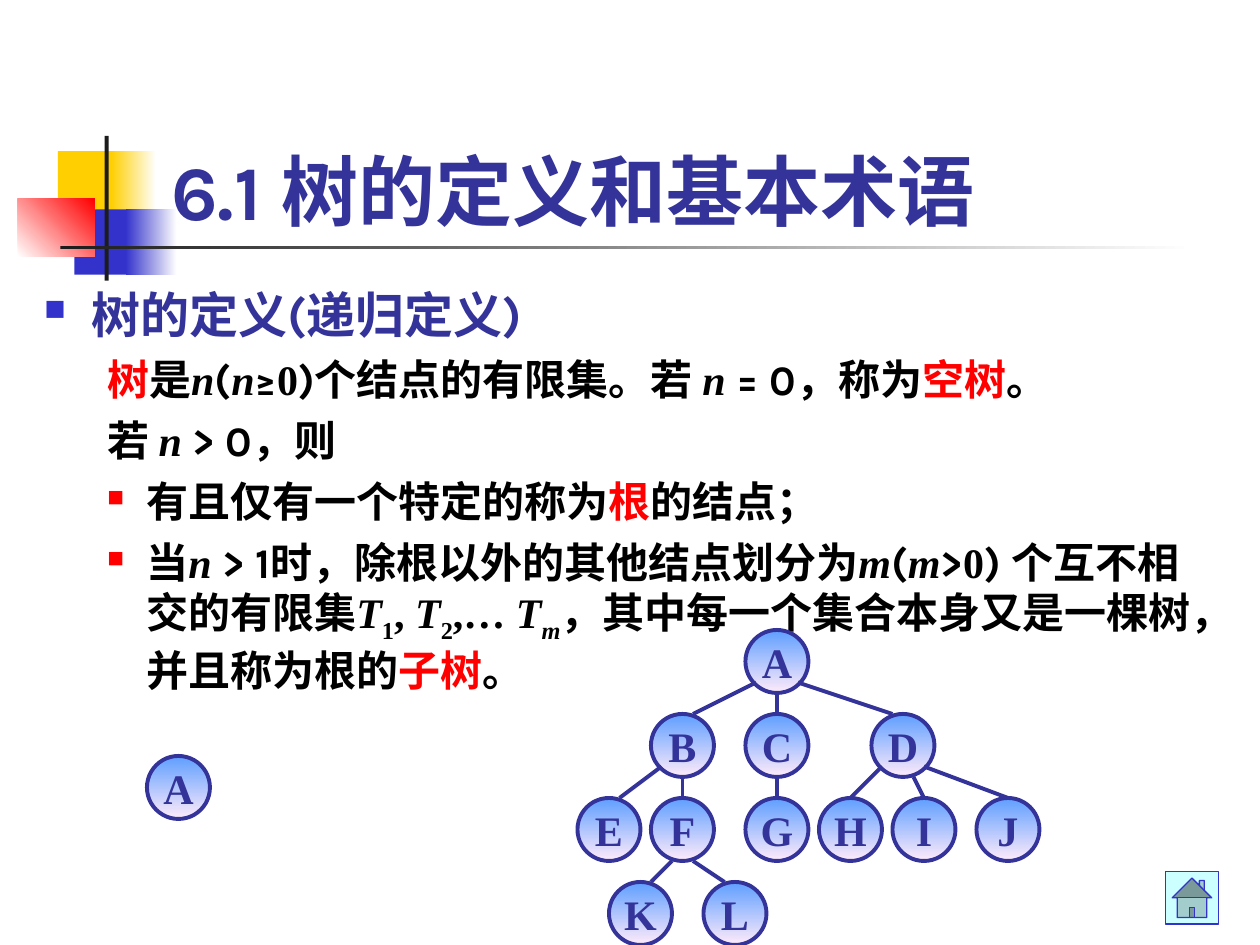
"""Build the slide that defines a tree recursively and shows two example trees."""
from dataclasses import dataclass
from typing import NamedTuple

from lxml import etree
from pptx import Presentation
from pptx import util as u
from pptx.dml.color import RGBColor
from pptx.enum import lang, shapes, text
from pptx.oxml import ns

KARLA, TIMES = "Karla", "Times New Roman"
INDIGO, BLUE, RED, BLACK, WHITE = "333399", "3333CC", "FF0000", "000000", "FFFFFF"
YELLOW, CHARCOAL = "FFCF01", "1C1C1C"
GRID = 2.54 / 12
NODE_SPAN, TREE_TOP, LEVEL_STEP = 6, 60, 8


class Band(NamedTuple):
    left: float
    top: float
    width: float
    height: float
    colors: tuple[str, ...]
    angle: float = 0


class Piece(NamedTuple):
    wording: str
    face: str = KARLA
    color: str = BLACK
    italic: bool = False
    lowered: bool = False


@dataclass
class Statement:
    pieces: list[Piece]
    size: float = 24
    margin: float = 2.06
    hanging: float = 0.79
    before: float = 6
    bullet: str = ""
    bullet_percent: int = 55


class Node(NamedTuple):
    label: str
    column: int
    level: int


class Branch(NamedTuple):
    parent: str
    start_x: int
    start_y: int
    child: str
    end_x: int


def var(name: str, lowered: bool = False) -> Piece:
    return Piece(name, TIMES, italic=True, lowered=lowered)


def digit(wording: str, lowered: bool = False) -> Piece:
    return Piece(wording, TIMES, lowered=lowered)


def term(wording: str) -> Piece:
    return Piece(wording, color=RED)


BANDS = [
    Band(1.17, 3.05, 1.22, 1.32, (YELLOW,)),
    Band(2.24, 3.05, 0.91, 1.32, (YELLOW, WHITE)),
    Band(1.5, 4.22, 1.17, 1.32, (BLUE,)),
    Band(2.54, 4.22, 1.02, 1.32, (BLUE, WHITE)),
    Band(0.36, 4.01, 1.55, 1.17, (WHITE, RED), 45),
    Band(2.11, 2.74, 0.08, 2.92, (CHARCOAL,)),
    Band(1.22, 4.95, 22.86, 0.08, (CHARCOAL, WHITE)),
]

TITLE = [Statement([Piece("6.1 树的定义和基本术语", color=INDIGO)], 44, 0, 0, 0)]

DEFINITION = [
    Statement([Piece("树的定义(递归定义)", color=INDIGO)], 28, 0.96, 0.96, 7, BLUE, 60),
    Statement([term("树"), Piece("是"), var("n"), Piece("("), var("n"), Piece("≥"), digit("0"),
               Piece(")个结点的有限集。若 "), var("n"), Piece(" = 0，称为"), term("空树"), Piece("。")]),
    Statement([Piece("若 "), var("n"), Piece(" > 0，则")]),
    Statement([Piece("有且仅有一个特定的称为"), term("根"), Piece("的结点；")], bullet=RED),
    Statement([Piece("当"), var("n"), Piece(" > 1时，除根以外的其他结点划分为"), var("m"), Piece("("),
               var("m"), Piece(">"), digit("0"), Piece(") 个互不相交的有限集"),
               var("T"), digit("1", True), digit(", "), var("T"), digit("2", True), digit(",… "),
               var("T"), var("m", True), digit("，其中每一个集合本身又是一棵树，并且称为根的"),
               term("子树"), Piece("。")], bullet=RED),
]

NODES = [
    Node("A", 71, 0),
    Node("B", 62, 1), Node("C", 71, 1), Node("D", 83, 1),
    Node("E", 55, 2), Node("F", 62, 2), Node("G", 71, 2),
    Node("H", 78, 2), Node("I", 85, 2), Node("J", 93, 2),
    Node("K", 58, 3), Node("L", 67, 3),
]

BRANCHES = [
    Branch("A", 1, 5, "B", 4), Branch("A", 3, 6, "C", 3), Branch("A", 5, 5, "D", 2),
    Branch("B", 1, 5, "E", 4), Branch("B", 3, 6, "F", 3), Branch("C", 3, 6, "G", 3),
    Branch("D", 1, 5, "H", 3), Branch("D", 4, 6, "I", 3), Branch("D", 5, 5, "J", 3),
    Branch("F", 2, 6, "K", 4), Branch("F", 4, 6, "L", 2),
]


def rgb(code: str) -> RGBColor:
    return RGBColor.from_string(code)


def grid(steps: float) -> u.Length:
    return u.Cm(steps * GRID)


def paint(shape, colors: tuple[str, ...], angle: float = 0) -> None:
    shape.shadow.inherit = False
    if len(colors) == 1:
        shape.fill.solid()
        shape.fill.fore_color.rgb = rgb(colors[0])
        return
    shape.fill.gradient()
    shape.fill.gradient_angle = angle
    for stop, color in zip(shape.fill.gradient_stops, colors):
        stop.color.rgb = rgb(color)


def outline(shape, color: str, points: float) -> None:
    shape.line.color.rgb = rgb(color)
    shape.line.width = u.Pt(points)


def draw_band(parts, band: Band) -> None:
    bar = parts.add_shape(shapes.MSO_SHAPE.RECTANGLE, *map(u.Cm, band[:4]))
    paint(bar, band.colors, band.angle)
    bar.line.fill.background()


def add_bullet(properties, color: str, percent: int) -> None:
    tint = etree.SubElement(properties, ns.qn("a:buClr"))
    etree.SubElement(tint, ns.qn("a:srgbClr"), val=color)
    etree.SubElement(properties, ns.qn("a:buSzPct"), val=str(percent * 1000))
    etree.SubElement(properties, ns.qn("a:buChar"), char="■")


def write_statement(paragraph, statement: Statement) -> None:
    paragraph.space_before = u.Pt(statement.before)
    properties = paragraph._p.get_or_add_pPr()
    properties.set("marL", str(u.Cm(statement.margin)))
    properties.set("indent", str(-u.Cm(statement.hanging)))
    if statement.bullet:
        add_bullet(properties, statement.bullet, statement.bullet_percent)
    paragraph.font.size = u.Pt(statement.size)
    paragraph.font.bold = True
    for piece in statement.pieces:
        run = paragraph.add_run()
        run.text = piece.wording
        run.font.name = piece.face
        run.font.color.rgb = rgb(piece.color)
        run.font.italic = piece.italic
        run.font.language_id = lang.MSO_LANGUAGE_ID.SIMPLIFIED_CHINESE
        if piece.lowered:
            run._r.get_or_add_rPr().set("baseline", "-25000")


def write_block(parts, place: tuple[float, ...], statements: list[Statement], anchor) -> None:
    frame = parts.add_textbox(*map(u.Cm, place)).text_frame
    frame.word_wrap = True
    frame.vertical_anchor = anchor
    for index, statement in enumerate(statements):
        write_statement(frame.add_paragraph() if index else frame.paragraphs[0], statement)


def draw_node(parts, label: str, column: int, row: int) -> None:
    circle = parts.add_shape(shapes.MSO_SHAPE.OVAL, grid(column), grid(row),
                             grid(NODE_SPAN), grid(NODE_SPAN))
    paint(circle, ("5E9EFF", "FFEBFA"), 270)
    outline(circle, INDIGO, 2.25)
    frame = circle.text_frame
    frame.word_wrap = False
    frame.vertical_anchor = text.MSO_ANCHOR.MIDDLE
    letter = frame.paragraphs[0]
    letter.text = label
    letter.alignment = text.PP_ALIGN.CENTER
    letter.font.name = TIMES
    letter.font.size = u.Pt(24)
    letter.font.bold = True
    letter.font.color.rgb = rgb(INDIGO)


def draw_branch(parts, branch: Branch, corners: dict[str, tuple[int, int]]) -> None:
    (left, top), (child_left, child_top) = corners[branch.parent], corners[branch.child]
    link = parts.add_connector(shapes.MSO_CONNECTOR.STRAIGHT,
                               grid(left + branch.start_x), grid(top + branch.start_y),
                               grid(child_left + branch.end_x), grid(child_top))
    outline(link, INDIGO, 2.25)
    etree.SubElement(link._element.spPr, ns.qn("a:effectLst"))


def main() -> None:
    deck = Presentation()
    deck.slide_width, deck.slide_height = u.Cm(25.4), u.Cm(19.05)
    parts = deck.slides.add_slide(deck.slide_layouts[6]).shapes
    for band in BANDS:
        draw_band(parts, band)
    write_block(parts, (3.2, 1.7, 21.64, 3.18), TITLE, text.MSO_ANCHOR.BOTTOM)
    write_block(parts, (0.64, 5.61, 24.23, 12.8), DEFINITION, text.MSO_ANCHOR.TOP)
    home = parts.add_shape(shapes.MSO_SHAPE.ACTION_BUTTON_HOME, *map(u.Cm, (23.5, 17.57, 1.06, 1.06)))
    paint(home, ("CCFFFF",))
    outline(home, BLUE, 0.75)
    draw_node(parts, "A", 14, 72)
    tree = parts.add_group_shape().shapes
    corners = {node.label: (node.column, TREE_TOP + LEVEL_STEP * node.level) for node in NODES}
    for label, corner in corners.items():
        draw_node(tree, label, *corner)
    for branch in BRANCHES:
        draw_branch(tree, branch, corners)
    deck.save("out.pptx")


if __name__ == "__main__":
    main()
